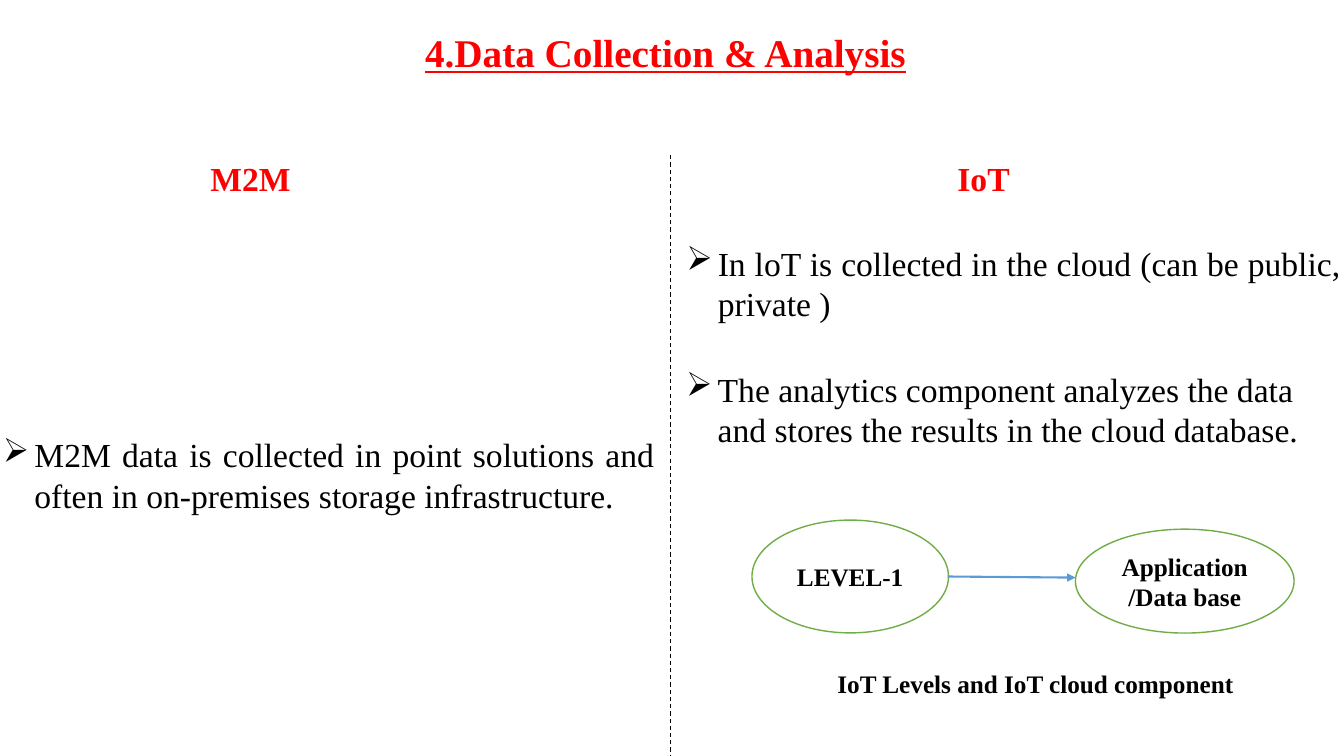
from lxml import etree
from pptx import Presentation
from pptx.dml.color import RGBColor
from pptx.enum.dml import MSO_LINE
from pptx.enum.shapes import MSO_CONNECTOR, MSO_SHAPE
from pptx.enum.text import MSO_ANCHOR, MSO_AUTO_SIZE, PP_ALIGN
from pptx.oxml.ns import qn
from pptx.util import Pt

RED = RGBColor(0xFF, 0x00, 0x00)
BLACK = RGBColor(0x00, 0x00, 0x00)
WHITE = RGBColor(0xFF, 0xFF, 0xFF)
GREEN = RGBColor(0x70, 0xAD, 0x47)
BLUE = RGBColor(0x5B, 0x9B, 0xD5)

FONT = "Times New Roman"
LEFT, CENTER, JUSTIFY = PP_ALIGN.LEFT, PP_ALIGN.CENTER, PP_ALIGN.JUSTIFY
MIDDLE = MSO_ANCHOR.MIDDLE
FIT_SHAPE = MSO_AUTO_SIZE.SHAPE_TO_FIT_TEXT
DASH = MSO_LINE.DASH
STRAIGHT = MSO_CONNECTOR.STRAIGHT
ELLIPSE = MSO_SHAPE.OVAL

BULLET_INDENT = Pt(22.5)
HEADING_TOP = 109.4
RIGHT_COLUMN = 483.1


def write_text(frame, text, size=24, color=BLACK, bold=False, underline=False,
               align=LEFT, line_spacing=None, bullet=None):
    para = frame.paragraphs[0]
    para.alignment = align
    if line_spacing:
        para.line_spacing = line_spacing
    if bullet:
        properties = para._p.get_or_add_pPr()
        properties.set("marL", str(BULLET_INDENT))
        properties.set("indent", str(-BULLET_INDENT))
        etree.SubElement(properties, qn("a:buChar"), char=bullet)
    span = para.add_run()
    span.text = text
    font = span.font
    font.name = FONT
    font.size = Pt(size)
    font.bold = bold
    font.underline = underline
    font.color.rgb = color


def add_text(page, text, left, top, width, height, wrap=True, **style):
    box = page.shapes.add_textbox(Pt(left), Pt(top), Pt(width), Pt(height))
    box.text_frame.word_wrap = wrap
    box.text_frame.auto_size = FIT_SHAPE
    write_text(box.text_frame, text, **style)


def add_heading(page, text, left, width):
    add_text(page, text, left, HEADING_TOP, width, 36, wrap=False, color=RED, bold=True)


def add_point(page, text, left, top, width, align=JUSTIFY):
    add_text(page, text, left, top, width, 65.5, align=align, bullet="➢")


def add_ellipse(page, text, left, top, width, height):
    ellipse = page.shapes.add_shape(ELLIPSE, Pt(left), Pt(top), Pt(width), Pt(height))
    ellipse.shadow.inherit = False
    ellipse.fill.solid()
    ellipse.fill.fore_color.rgb = WHITE
    ellipse.line.color.rgb = GREEN
    ellipse.line.width = Pt(1)
    ellipse.text_frame.word_wrap = True
    ellipse.text_frame.vertical_anchor = MIDDLE
    write_text(ellipse.text_frame, text, size=18, bold=True, align=CENTER)


def add_line(page, start, end, color, width, dash=None, arrow=False):
    line = page.shapes.add_connector(STRAIGHT, *map(Pt, start + end))
    line.line.color.rgb = color
    line.line.width = Pt(width)
    if dash:
        line.line.dash_style = dash
    if arrow:
        etree.SubElement(line.line._get_or_add_ln(), qn("a:tailEnd"), type="triangle")
    etree.SubElement(line._element.spPr, qn("a:effectLst"))


def main():
    deck = Presentation()
    deck.slide_width, deck.slide_height = Pt(960), Pt(540)
    page = deck.slides.add_slide(deck.slide_layouts[6])

    add_text(page, "4.Data Collection & Analysis", 296.6, 0, 479.5, 51.8,
             size=28, color=RED, bold=True, underline=True, line_spacing=1.5)
    add_heading(page, "M2M", 143.3, 72)
    add_heading(page, "IoT", 676.8, 52.6)
    add_line(page, (478.8, 110.9), (478.8, 540), BLACK, 0.75, dash=DASH)

    add_point(page, "M2M data is collected in point solutions and often in "
              "on-premises storage infrastructure.", -5, 306.7, 479.5)
    add_point(page, "In loT is collected in the cloud (can be public, private )",
              RIGHT_COLUMN, 169.9, 481.7)
    add_point(page, "The analytics component analyzes the data and stores the "
              "results in the cloud database.", RIGHT_COLUMN, 259.9, 463.7, align=LEFT)

    add_ellipse(page, "LEVEL-1", 537.1, 371.5, 140.4, 80.6)
    add_ellipse(page, "Application /Data base", 768.2, 378, 156.2, 74.2)
    add_line(page, (676.8, 411.8), (768.2, 412.6), BLUE, 1.5, arrow=True)
    add_text(page, "IoT Levels and IoT cloud component", 591.1, 473.8, 300.2, 28.8,
             wrap=False, size=18, bold=True)

    deck.save("out.pptx")


if __name__ == "__main__":
    main()
